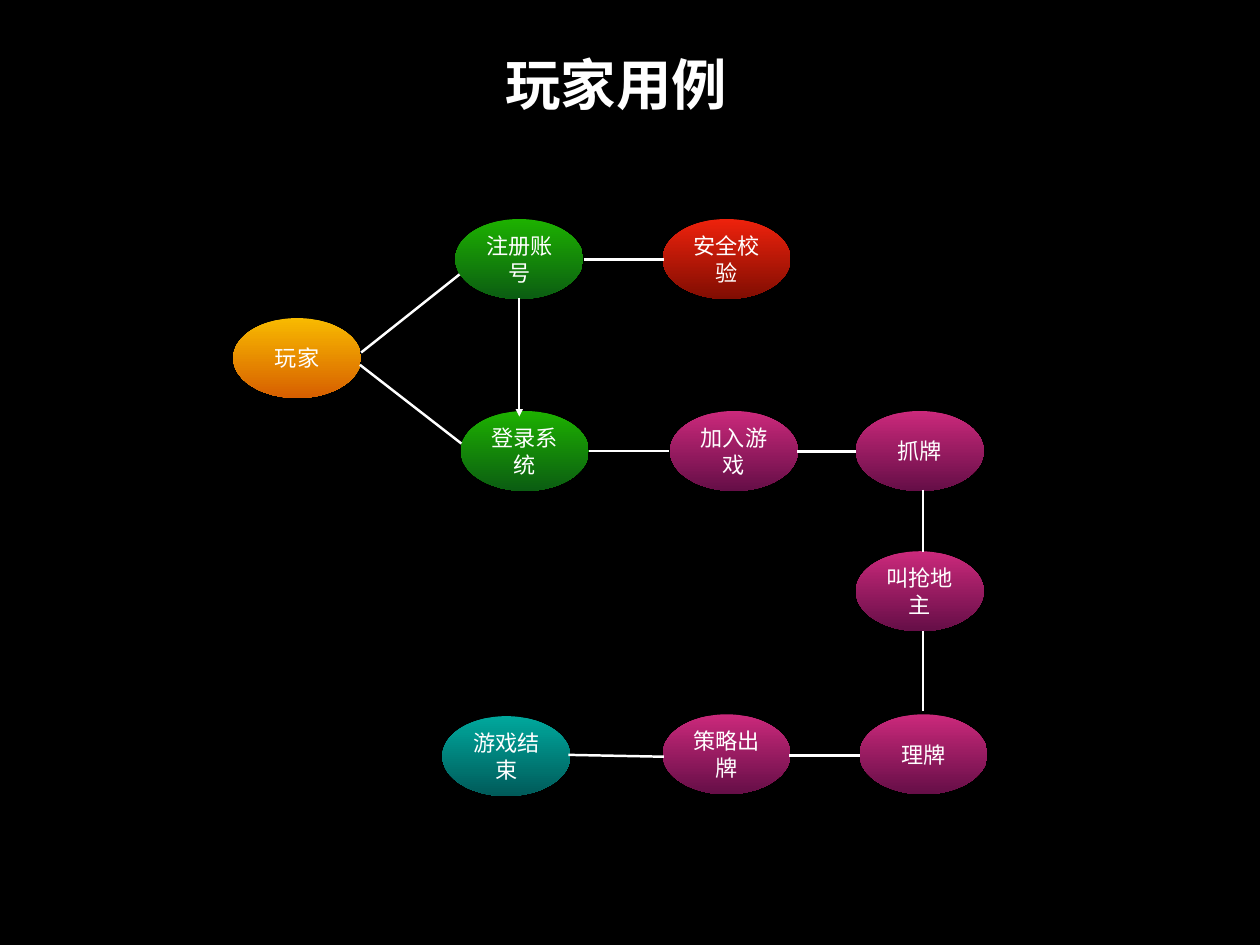
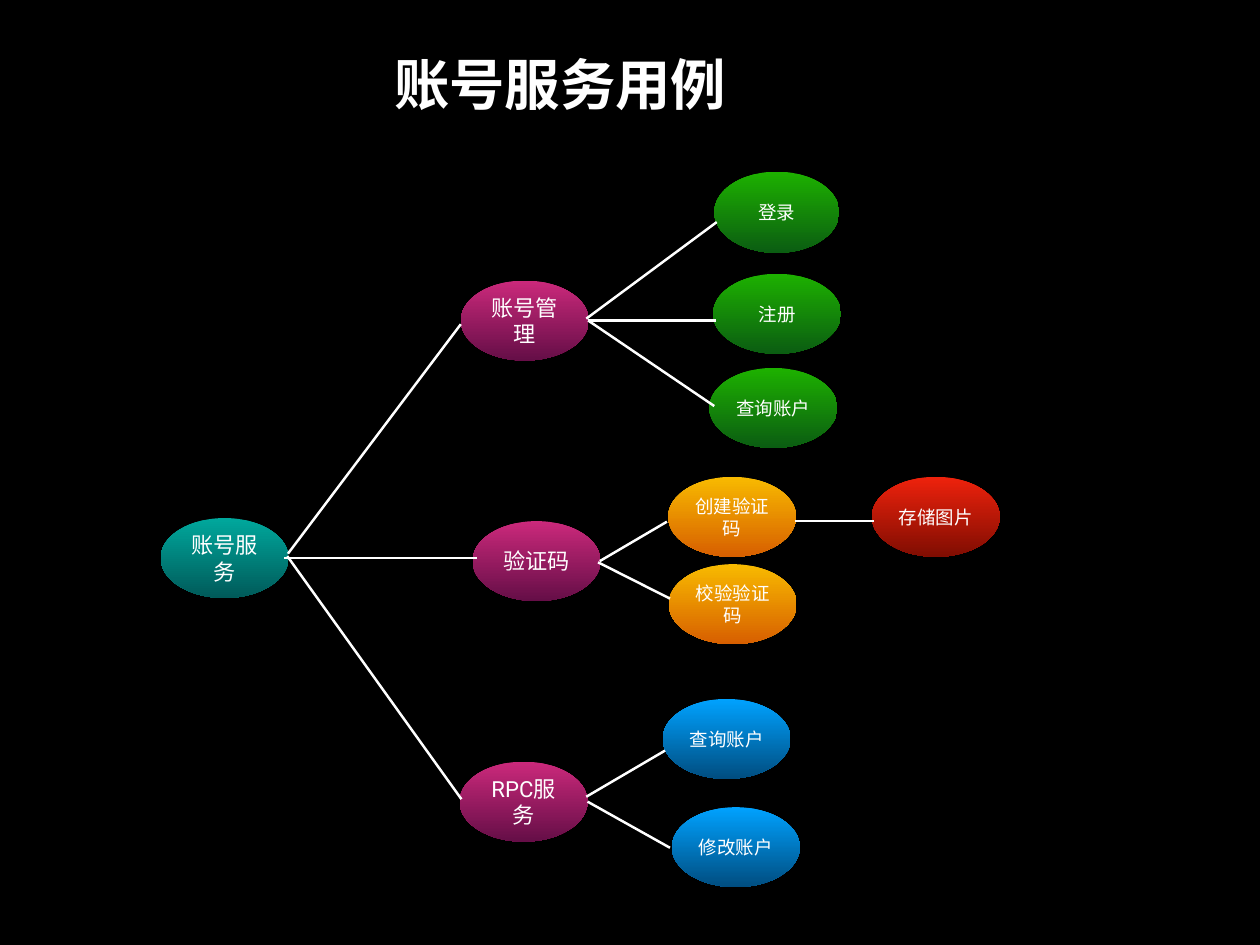
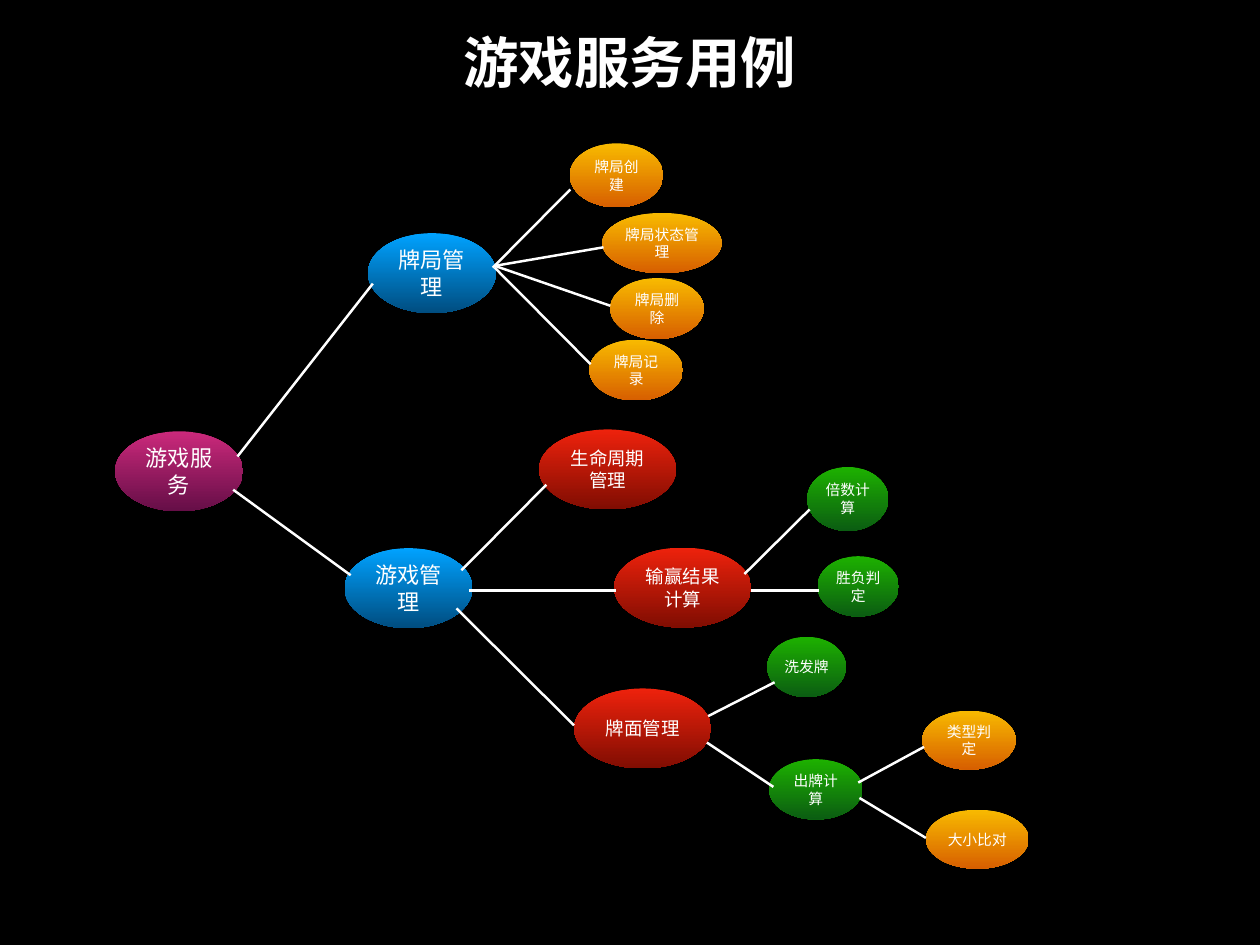
from dataclasses import dataclass

from lxml.etree import SubElement
from pptx import Presentation
from pptx.dml.color import RGBColor
from pptx.enum.shapes import MSO_CONNECTOR, MSO_SHAPE
from pptx.enum.text import MSO_ANCHOR, MSO_AUTO_SIZE, PP_ALIGN
from pptx.oxml.ns import qn
from pptx.slide import Slide, SlideLayout
from pptx.text.text import TextFrame
from pptx.util import Pt

SLIDE_WIDTH, SLIDE_HEIGHT = Pt(1024), Pt(768)
TITLE_ONLY = 5
FONT = "Roboto"
INSET = Pt(4)
TITLE_SIZE, TITLE_HEIGHT = 45, 71
LINE_WIDTH = Pt(2)

BLACK = RGBColor(0x00, 0x00, 0x00)
WHITE = RGBColor(0xFF, 0xFF, 0xFF)

# Gradients as (top, bottom)
Gradient = tuple[RGBColor, RGBColor]
AMBER = RGBColor(0xF8, 0xBA, 0x00), RGBColor(0xD7, 0x5F, 0x00)
GREEN = RGBColor(0x1D, 0xB1, 0x00), RGBColor(0x0B, 0x5D, 0x12)
RED = RGBColor(0xEE, 0x22, 0x0C), RGBColor(0x80, 0x0D, 0x02)
PINK = RGBColor(0xCB, 0x29, 0x7B), RGBColor(0x65, 0x0E, 0x47)
TEAL = RGBColor(0x00, 0xA8, 0x9D), RGBColor(0x00, 0x5A, 0x59)
BLUE = RGBColor(0x00, 0xA2, 0xFF), RGBColor(0x00, 0x4D, 0x80)


@dataclass(frozen=True)
class Node:
    text: str
    left: float
    top: float
    colors: Gradient
    size: float = 18
    width: float = 104
    height: float = 65


@dataclass(frozen=True)
class Link:
    x1: float
    y1: float
    x2: float
    y2: float
    arrow: bool = False


@dataclass(frozen=True)
class Diagram:
    title: str
    title_left: float
    title_top: float
    title_width: float
    nodes: list[Node]
    links: list[Link]


PLAYER = Diagram(
    "玩家用例", 406, 32, 189.5,
    nodes=[
        Node("玩家", 189.5, 258.5, AMBER),
        Node("注册账号", 370, 178, GREEN),
        Node("登录系统", 374.5, 334, GREEN),
        Node("安全校验", 538.5, 178, RED),
        Node("加入游戏", 544.5, 334, PINK),
        Node("抓牌", 695.5, 334, PINK),
        Node("叫抢地主", 695.5, 448, PINK),
        Node("理牌", 698.5, 580.5, PINK),
        Node("策略出牌", 538.5, 580.5, PINK),
        Node("游戏结束", 359.5, 582, TEAL),
    ],
    links=[
        Link(293.5, 286.5, 373.5, 223),
        Link(292.5, 296.5, 375, 360.5),
        Link(422, 242.5, 422, 338.5, arrow=True),
        Link(474.5, 211, 539.5, 211),
        Link(479, 366.5, 543.5, 366.5),
        Link(648, 367, 695.5, 367),
        Link(750, 398, 750, 448.5),
        Link(750, 577.5, 750, 512.5),
        Link(641.5, 614, 699, 614),
        Link(462, 613.5, 539.5, 615),
    ],
)

ACCOUNT = Diagram(
    "账号服务用例", 315.5, 32, 279.5,
    nodes=[
        Node("账号服务", 130.5, 421, TEAL),
        Node("账号管理", 374.5, 228, PINK),
        Node("验证码", 384, 423.5, PINK),
        Node("RPC服务", 373.5, 619, PINK),
        Node("登录", 580.5, 139.5, GREEN, 15, 101.5, 66),
        Node("注册", 579.5, 222.5, GREEN, 15),
        Node("查询账户", 576.5, 299, GREEN, 15),
        Node("创建验证码", 543, 387.5, AMBER, 15),
        Node("校验验证码", 543.5, 458.5, AMBER, 15),
        Node("存储图片", 708.5, 387.5, RED, 15),
        Node("查询账户", 538.5, 568, BLUE, 15),
        Node("修改账户", 546, 656, BLUE, 15),
    ],
    links=[
        Link(234, 450, 374.5, 263.5),
        Link(231, 453.5, 387.5, 453.5),
        Link(233.5, 452, 375, 649.5),
        Link(476.5, 259, 582.5, 180.5),
        Link(478, 260.5, 582, 260.5),
        Link(478, 260.5, 580.5, 330),
        Link(487.5, 456, 542, 424),
        Link(486, 457, 544.5, 486.5),
        Link(646, 423.5, 710.5, 423.5),
        Link(476.5, 647.5, 540.5, 610),
        Link(544.5, 689, 477.5, 651.5),
    ],
)

GAME = Diagram(
    "游戏服务用例", 372, 14.5, 279.5,
    nodes=[
        Node("游戏服务", 93.5, 350.5, PINK),
        Node("牌局管理", 299, 189.5, BLUE),
        Node("游戏管理", 280, 445.5, BLUE),
        Node("牌局创建", 463, 116.5, AMBER, 12, 76, 52),
        Node("牌局状态管理", 489.5, 173, AMBER, 12, 97, 49),
        Node("牌局删除", 496, 226, AMBER, 12, 76, 49.5),
        Node("牌局记录", 479, 276, AMBER, 12, 76, 49.5),
        Node("生命周期管理", 438, 349, RED, 15, 111.5),
        Node("输赢结果计算", 499, 445, RED, 15, 111.5),
        Node("倍数计算", 656, 379.5, GREEN, 12, 66, 52),
        Node("胜负判定", 664.5, 452, GREEN, 12, 66, 49),
        Node("牌面管理", 466.5, 559.5, RED, 15, 111.5),
        Node("洗发牌", 623.5, 517.5, GREEN, 12, 64, 49),
        Node("出牌计算", 625, 617, GREEN, 12, 76, 49),
        Node("类型判定", 749.5, 577.5, AMBER, 12, 76, 48),
        Node("大小比对", 752.5, 658, AMBER, 12, 83.5, 48),
    ],
    links=[
        Link(193, 371, 303, 230.5),
        Link(400.5, 217.5, 463.5, 154),
        Link(402, 217.5, 480, 296),
        Link(402.5, 216, 490.5, 201),
        Link(402, 216, 496, 248.5),
        Link(189.5, 398, 285, 467.5),
        Link(375, 463.5, 444, 394),
        Link(381.5, 480, 500.5, 480),
        Link(371, 494.5, 466.5, 589.5),
        Link(605, 466.5, 658, 414),
        Link(610, 480, 665.5, 480),
        Link(575.5, 582, 629.5, 554.5),
        Link(574.5, 603.5, 628.5, 639.5),
        Link(697.5, 636, 751, 607),
        Link(698.5, 648.5, 752.5, 681),
    ],
)


def write_text(tf: TextFrame, text: str, size: float, bold: bool = False) -> None:
    """Write one centred white line of text, anchored in the middle."""
    tf.margin_left = tf.margin_right = tf.margin_top = tf.margin_bottom = INSET
    tf.vertical_anchor = MSO_ANCHOR.MIDDLE
    p = tf.paragraphs[0]
    p.text = text
    p.alignment = PP_ALIGN.CENTER
    p.font.name = FONT
    p.font.size = Pt(size)
    p.font.bold = bold
    p.font.color.rgb = WHITE


def add_title(slide: Slide, diagram: Diagram) -> None:
    sp = slide.shapes.title
    sp.left, sp.top = Pt(diagram.title_left), Pt(diagram.title_top)
    sp.width, sp.height = Pt(diagram.title_width), Pt(TITLE_HEIGHT)
    tf = sp.text_frame
    write_text(tf, diagram.title, TITLE_SIZE, bold=True)
    tf.word_wrap = False
    tf.auto_size = MSO_AUTO_SIZE.SHAPE_TO_FIT_TEXT


def add_node(slide: Slide, node: Node) -> None:
    sp = slide.shapes.add_shape(
        MSO_SHAPE.OVAL, Pt(node.left), Pt(node.top), Pt(node.width), Pt(node.height)
    )
    sp.shadow.inherit = False
    sp.line.fill.background()
    sp.fill.gradient()
    sp.fill.gradient_angle = 270
    for position, (stop, color) in enumerate(zip(sp.fill.gradient_stops, node.colors)):
        stop.position = position
        stop.color.rgb = color
    sp.text_frame.word_wrap = True
    write_text(sp.text_frame, node.text, node.size)


def add_link(slide: Slide, link: Link) -> None:
    line = slide.shapes.add_connector(
        MSO_CONNECTOR.STRAIGHT, Pt(link.x1), Pt(link.y1), Pt(link.x2), Pt(link.y2)
    )
    line.line.color.rgb = WHITE
    line.line.width = LINE_WIDTH
    props = line._element.spPr
    if link.arrow:
        SubElement(props.find(qn("a:ln")), qn("a:tailEnd"), type="triangle")
    SubElement(props, qn("a:effectLst"))


def add_diagram(prs: Presentation, layout: SlideLayout, diagram: Diagram) -> None:
    slide = prs.slides.add_slide(layout)
    add_title(slide, diagram)
    for node in diagram.nodes:
        add_node(slide, node)
    for link in diagram.links:
        add_link(slide, link)


def main() -> None:
    prs = Presentation()
    prs.slide_width, prs.slide_height = SLIDE_WIDTH, SLIDE_HEIGHT
    background = prs.slide_master.background.fill
    background.solid()
    background.fore_color.rgb = BLACK
    layout = prs.slide_layouts[TITLE_ONLY]
    for diagram in (PLAYER, ACCOUNT, GAME):
        add_diagram(prs, layout, diagram)
    prs.save("out.pptx")


if __name__ == "__main__":
    main()
